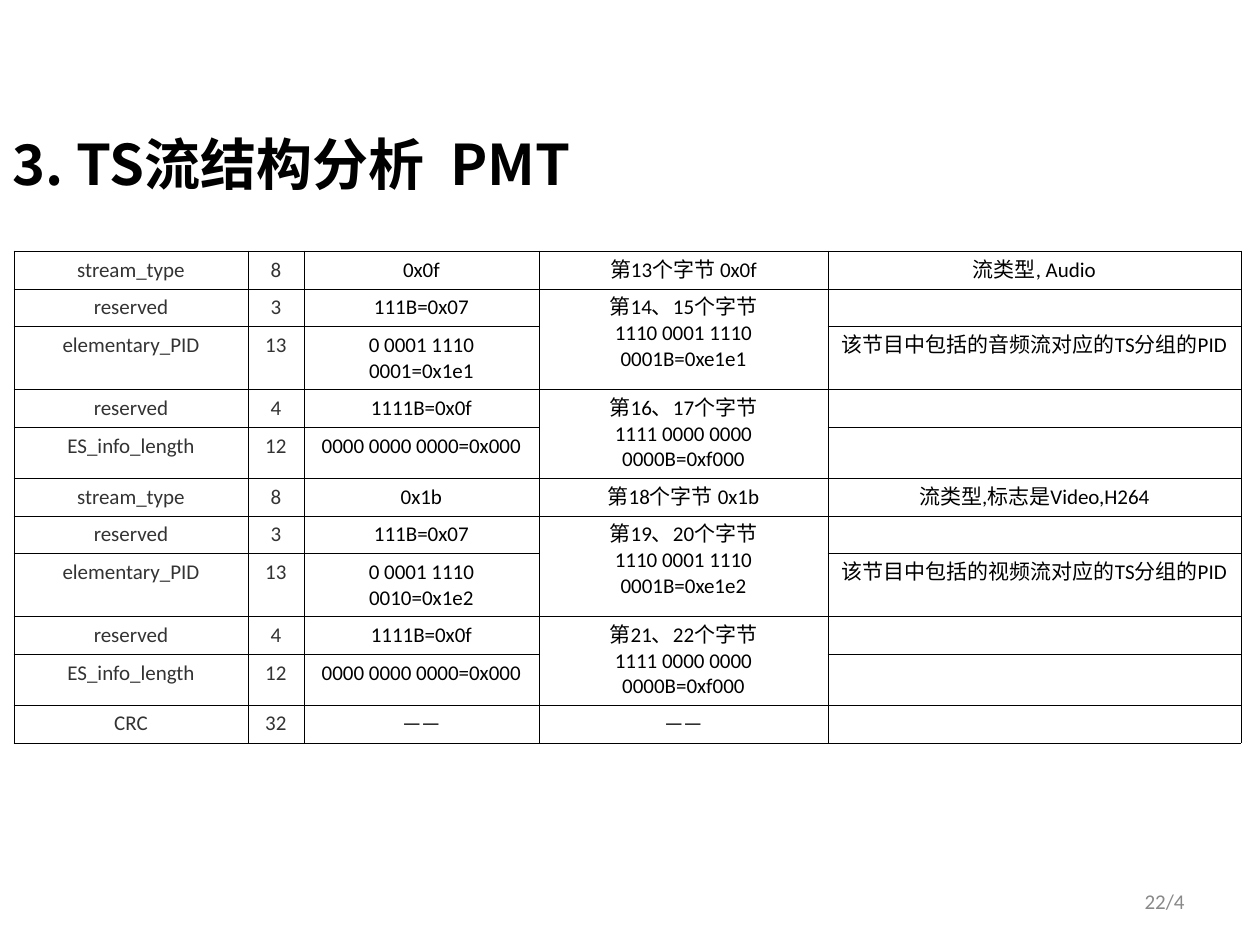
"""Build the slide that lists the stream fields of a PMT section."""
from lxml import etree
from pptx import Presentation
from pptx.dml.color import RGBColor
from pptx.enum.text import MSO_ANCHOR, MSO_AUTO_SIZE, PP_ALIGN
from pptx.oxml.ns import qn
from pptx.util import Inches, Pt

BLACK = RGBColor(0x00, 0x00, 0x00)
DARK_GRAY = RGBColor(0x33, 0x33, 0x33)
GRAY = RGBColor(0x89, 0x89, 0x89)
WHITE = RGBColor(0xFF, 0xFF, 0xFF)
LEFT, CENTER, RIGHT = PP_ALIGN.LEFT, PP_ALIGN.CENTER, PP_ALIGN.RIGHT
TOP, MIDDLE = MSO_ANCHOR.TOP, MSO_ANCHOR.MIDDLE
NO_AUTOFIT = MSO_AUTO_SIZE.NONE

BODY_FONT = "Calibri"
TITLE_FONT = "Noto Sans CJK SC"
TITLE_ONLY_LAYOUT = 5
COLUMN_WIDTHS = [1.86, 0.44, 1.87, 2.29, 3.28]
ROW_HEIGHT = 0.26
BORDER_WIDTH = 0.11
BYTES_COLUMN = 3
MERGED_ROW_STARTS = [1, 3, 6, 8]


def stream_rows(stream_type, type_note, pid, pid_bytes, pid_note, first_byte):
    """Return the five field rows that describe one elementary stream."""
    return [
        ["stream_type", "8", stream_type, f"第{first_byte}个字节 {stream_type}", type_note],
        ["reserved", "3", "111B=0x07",
         f"第{first_byte + 1}、{first_byte + 2}个字节\n{pid_bytes}", ""],
        ["elementary_PID", "13", pid, "", f"该节目中包括的{pid_note}流对应的TS分组的PID"],
        ["reserved", "4", "1111B=0x0f",
         f"第{first_byte + 3}、{first_byte + 4}个字节\n1111 0000 0000 0000B=0xf000", ""],
        ["ES_info_length", "12", "0000 0000 0000=0x000", "", ""],
    ]


FIELD_ROWS = [
    *stream_rows("0x0f", "流类型, Audio", "0 0001 1110 0001=0x1e1",
                 "1110 0001 1110 0001B=0xe1e1", "音频", 13),
    *stream_rows("0x1b", "流类型,标志是Video,H264", "0 0001 1110 0010=0x1e2",
                 "1110 0001 1110 0001B=0xe1e2", "视频", 18),
    ["CRC", "32", "——", "——", ""],
]


def write_text(text_frame, text, *, size=12, font=BODY_FONT, color=BLACK,
               bold=False, align=CENTER):
    """Fill a text frame with one formatted paragraph per line of text."""
    text_frame.text = text
    for paragraph in text_frame.paragraphs:
        paragraph.alignment = align
        if not paragraph.runs:
            paragraph._p.get_or_add_endParaRPr().set("sz", str(size * 100))
        for run in paragraph.runs:
            run.font.size = Pt(size)
            run.font.name = font
            run.font.bold = bold
            run.font.color.rgb = color
            east_asian = etree.SubElement(run.font._element, qn("a:ea"))
            east_asian.set("typeface", font)


def add_title(slide, text):
    """Place and format the title placeholder."""
    title = slide.shapes.title
    title.left, title.top = Inches(0), Inches(0.98)
    title.width, title.height = Inches(7.61), Inches(0.64)
    title.text_frame.auto_size = NO_AUTOFIT
    title.text_frame.vertical_anchor = TOP
    write_text(title.text_frame, text, size=32, font=TITLE_FONT, bold=True, align=LEFT)


def add_page_number(slide, text):
    """Add the page number at the lower right."""
    box = slide.shapes.add_textbox(Inches(7.17), Inches(6.95), Inches(2.33), Inches(0.4))
    box.text_frame.word_wrap = True
    box.text_frame.vertical_anchor = MIDDLE
    write_text(box.text_frame, text, color=GRAY, align=RIGHT)


def format_cell(cell):
    """Give a cell thin black borders and a white fill."""
    properties = cell._tc.get_or_add_tcPr()
    for side in ("a:lnL", "a:lnR", "a:lnT", "a:lnB"):
        line = etree.SubElement(properties, qn(side), w=str(Pt(BORDER_WIDTH)))
        fill = etree.SubElement(line, qn("a:solidFill"))
        etree.SubElement(fill, qn("a:srgbClr"), val=str(BLACK))
    cell.fill.solid()
    cell.fill.fore_color.rgb = WHITE


def add_field_table(slide, rows):
    """Add the table of stream fields with merged byte cells."""
    frame = slide.shapes.add_table(
        len(rows), len(COLUMN_WIDTHS), Inches(0.11), Inches(1.99),
        Inches(sum(COLUMN_WIDTHS)), Inches(ROW_HEIGHT * len(rows)))
    table = frame.table
    table.first_row = table.horz_banding = False
    for column, width in zip(table.columns, COLUMN_WIDTHS):
        column.width = Inches(width)
    for row_index, values in enumerate(rows):
        table.rows[row_index].height = Inches(ROW_HEIGHT)
        for column_index, value in enumerate(values):
            cell = table.cell(row_index, column_index)
            color = DARK_GRAY if column_index < 2 else BLACK
            write_text(cell.text_frame, value, color=color)
            format_cell(cell)
    for start in MERGED_ROW_STARTS:
        table.cell(start, BYTES_COLUMN).merge(table.cell(start + 1, BYTES_COLUMN))


def main():
    """Create the presentation and save it."""
    presentation = Presentation()
    presentation.slide_width, presentation.slide_height = Inches(10), Inches(7.5)
    slide = presentation.slides.add_slide(presentation.slide_layouts[TITLE_ONLY_LAYOUT])
    add_page_number(slide, "22/4")
    add_title(slide, "3. TS流结构分析  PMT")
    add_field_table(slide, FIELD_ROWS)
    presentation.save("out.pptx")


if __name__ == "__main__":
    main()
